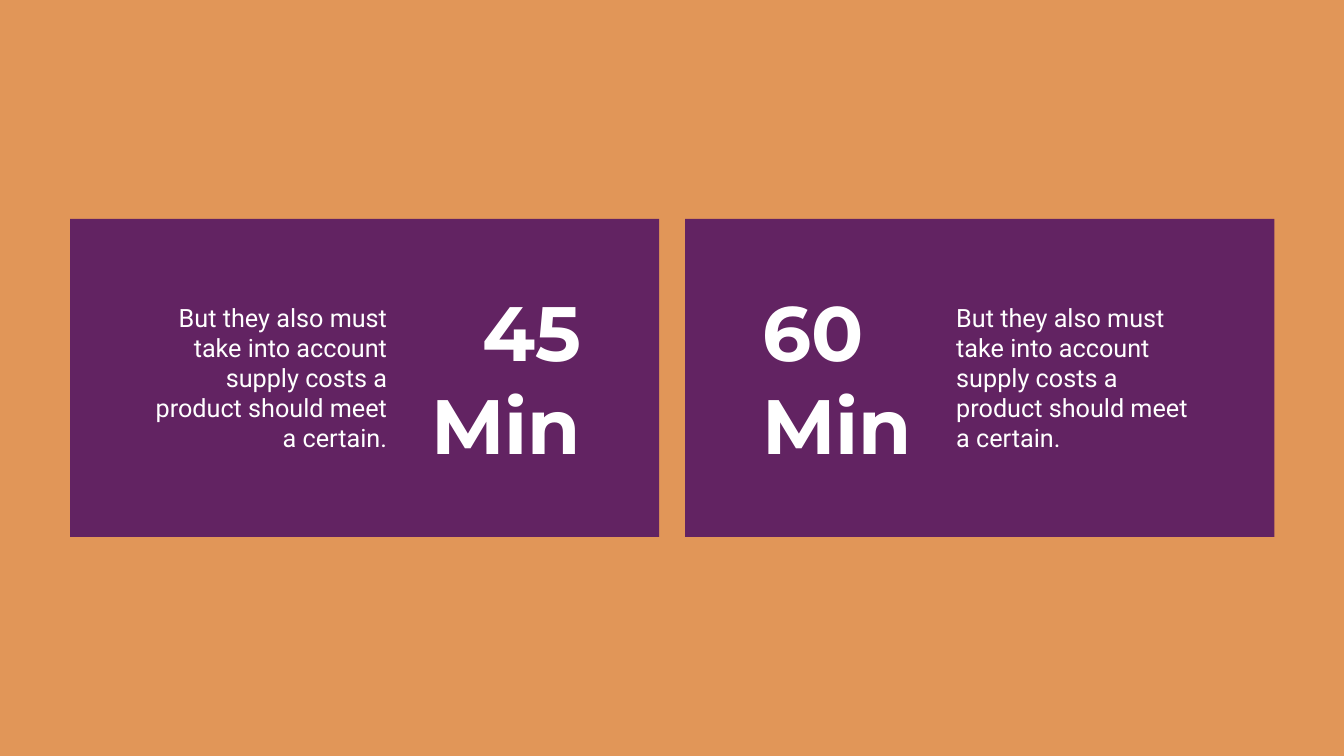
from pptx import Presentation
from pptx import util as u
from pptx.dml.color import RGBColor
from pptx.enum import shapes, text

PX = u.Inches(1) / 50.4
COLORS = {"background": "E19658", "card": "622362", "text": "FFFFFF"}

prs = Presentation()
prs.slide_width, prs.slide_height = u.Inches(26.66), u.Inches(15)
s = prs.slides.add_slide(prs.slide_layouts[6])


def add_rect(x, y, w, h, color):
    sp = s.shapes.add_shape(shapes.MSO_SHAPE.RECTANGLE, *[round(v * PX) for v in (x, y, w, h)])
    sp.shadow.inherit = False
    sp.fill.solid()
    sp.fill.fore_color.rgb = RGBColor.from_string(COLORS[color])
    sp.line.fill.background()


def add_text(content, x, y, w, h, *, font, size, align, bold=False, inset=(5, 3), leading=None):
    sp = s.shapes.add_textbox(*[round(v * PX) for v in (x, y, w, h)])
    tf = sp.text_frame
    tf.word_wrap = True
    tf.auto_size = text.MSO_AUTO_SIZE.SHAPE_TO_FIT_TEXT
    tf.margin_left = tf.margin_right = round(inset[0] * PX)
    tf.margin_top = tf.margin_bottom = round(inset[1] * PX)
    p = tf.paragraphs[0]
    p.alignment = align
    if leading:
        p.line_spacing = u.Pt(leading)
    r = p.add_run()
    r.text = content
    r.font.name, r.font.size, r.font.bold = font, u.Pt(size), bold
    r.font.color.rgb = RGBColor.from_string(COLORS["text"])


# Background
add_rect(0, 0, 1344, 756, "background")

# Cards: card left, duration, duration left and width, description left, alignment
body = "But they also must take into account supply costs a product should meet a certain."
cards = [
    (70, "45 Min", 359, 227, 141, text.PP_ALIGN.RIGHT),
    (685, "60 Min", 757, 191, 944, text.PP_ALIGN.LEFT),
]
for card_x, duration, duration_x, duration_w, body_x, align in cards:
    add_rect(card_x, 219, 589, 318, "card")
    add_text(duration, duration_x, 282, duration_w, 192,
             font="Montserrat", size=110, align=align, bold=True)
    add_text(body, body_x, 296, 258, 164,
             font="Roboto", size=36, align=align, inset=(12, 6), leading=43)

prs.save("out.pptx")
